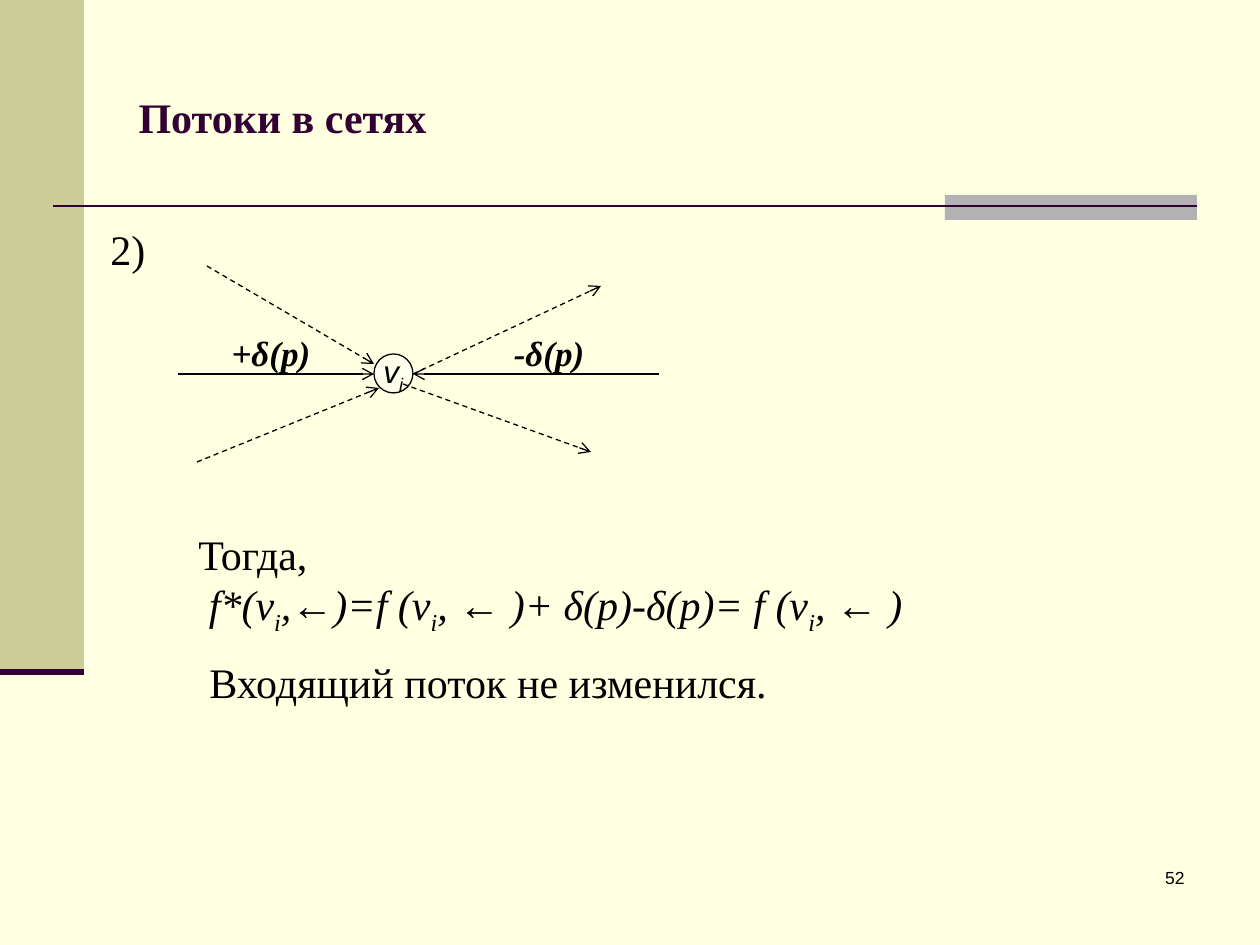
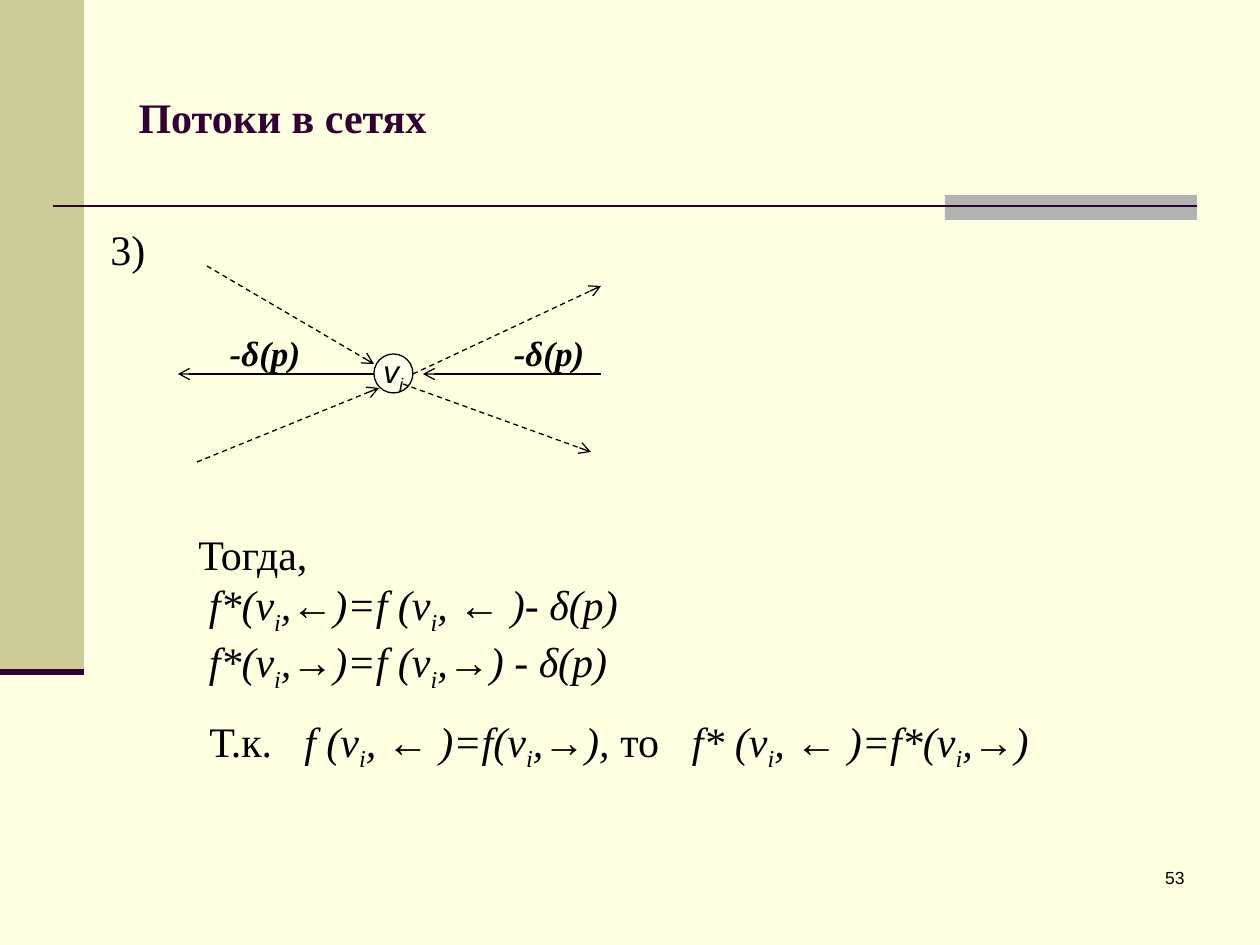
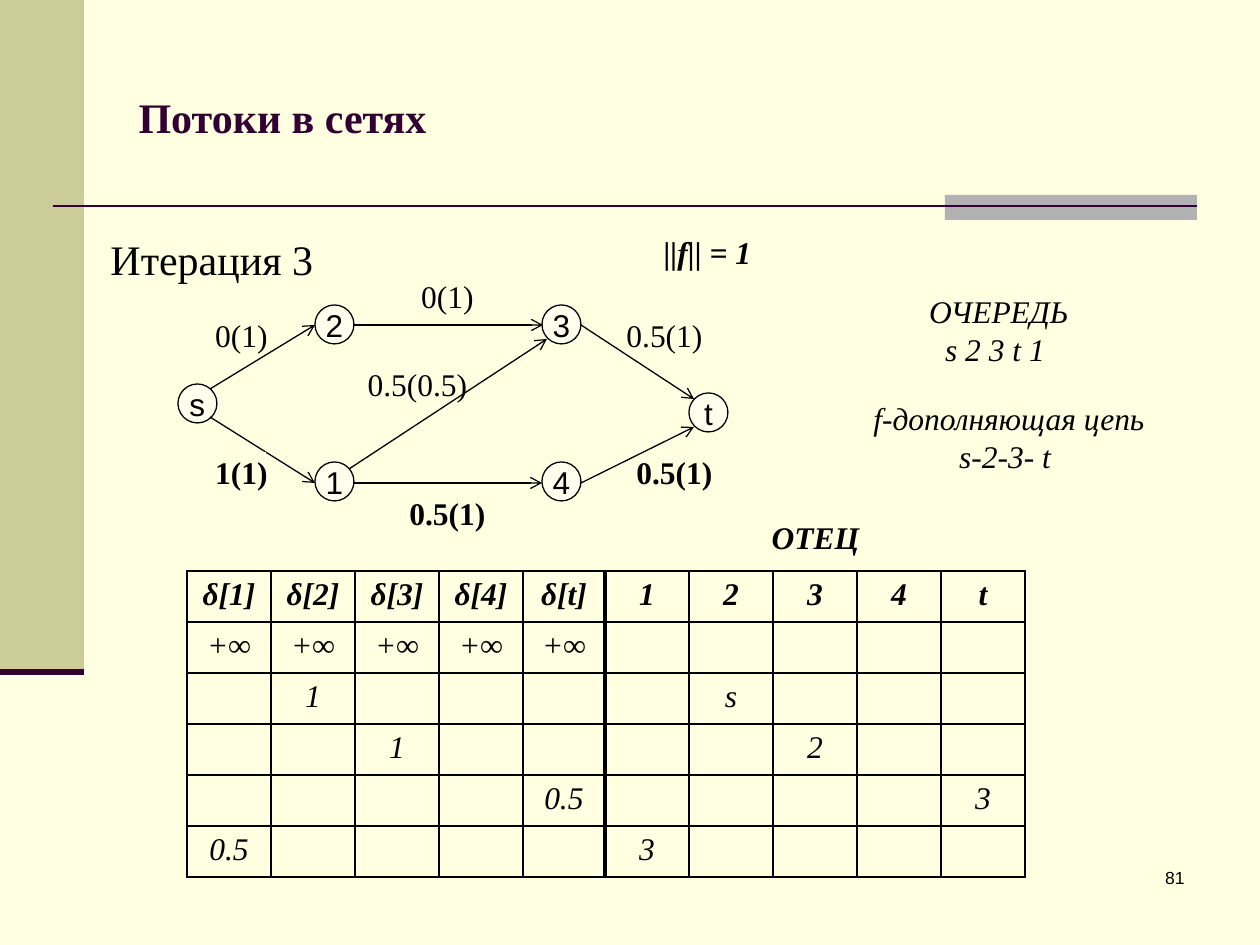
"""Build three slides about flows in networks."""
from lxml import etree
from pptx import Presentation
from pptx.dml.color import RGBColor
from pptx.enum.dml import MSO_LINE
from pptx.enum.shapes import MSO_CONNECTOR, MSO_SHAPE
from pptx.enum.text import MSO_ANCHOR, MSO_AUTO_SIZE, PP_ALIGN
from pptx.oxml.ns import qn
from pptx.util import Emu, Pt

PX_PER_INCH = 126
RECTANGLE = MSO_SHAPE.RECTANGLE
CIRCLE = MSO_SHAPE.FLOWCHART_CONNECTOR
STRAIGHT = MSO_CONNECTOR.STRAIGHT
DASH = MSO_LINE.DASH
MIDDLE = MSO_ANCHOR.MIDDLE
LEFT, CENTER, RIGHT = PP_ALIGN.LEFT, PP_ALIGN.CENTER, PP_ALIGN.RIGHT
NO_FIT, GROW = MSO_AUTO_SIZE.NONE, MSO_AUTO_SIZE.SHAPE_TO_FIT_TEXT

BACKGROUND, NODE_FILL, BLACK = "FFFFE1", "FFFFEE", "000000"
BAND, ACCENT, PLUM = "CCCC99", "B2B2B2", "330033"
SERIF, SANS = "Times New Roman", "Arial"
NODE_SIZE = 39
ROW_HEIGHT, COLUMN_WIDTH, LAST_DELTA_WIDTH = 51, 84, 82
DELTA_COLUMNS = 5

DASHED_EDGES = [(403, 384, 591, 452), (413, 374, 601, 286),
                (207, 266, 374, 364), (197, 462, 379, 388)]

NODES = {"s": (178, 384), "2": (315, 305), "t": (689, 393),
         "4": (542, 462), "3": (542, 305), "1": (315, 462)}
EDGES = [(210, 389, 315, 325), (354, 325, 543, 325), (210, 417, 315, 483),
         (354, 483, 542, 483), (581, 325, 694, 399), (581, 483, 694, 427),
         (349, 469, 547, 339)]
EDGE_LABELS = [("0(1)", 217, 315, False), ("1(1)", 217, 452, True),
               ("0.5(0.5)", 393, 364, False), ("0(1)", 423, 276, False),
               ("0.5(1)", 640, 315, False), ("0.5(1)", 650, 452, True),
               ("0.5(1)", 423, 493, True)]

HEADINGS = ["δ[1]", "δ[2]", "δ[3]", "δ[4]", "δ[t]", "1", "2", "3", "4", "t"]
STEPS = [dict.fromkeys(HEADINGS[:DELTA_COLUMNS], "+∞"),
         {"δ[2]": "1", "2": "s"},
         {"δ[3]": "1", "3": "2"},
         {"δ[t]": "0.5", "t": "3"},
         {"δ[1]": "0.5", "1": "3"}]


def px(length):
    """Turn pixels into EMU."""
    return Emu(round(length * 914400 / PX_PER_INCH))


def box_px(box):
    """Turn every length of a box into EMU."""
    return [px(length) for length in box]


def color(value):
    """Turn a hex string into a colour."""
    return RGBColor.from_string(value)


def add_run(paragraph, text, size, font, text_color, bold, italic):
    """Add one formatted run and return it."""
    run = paragraph.add_run()
    run.text = text
    run.font.size = Pt(size)
    run.font.name = font
    run.font.color.rgb = color(text_color)
    run.font.bold = bold
    run.font.italic = italic
    return run


def write_text(frame, lines, size=24, font=SERIF, text_color=BLACK,
               bold=False, italic=False, align=LEFT):
    """Write lines of text or (text, italic) pairs; "_" lowers the next letter."""
    for index, line in enumerate(lines):
        paragraph = frame.add_paragraph() if index else frame.paragraphs[0]
        paragraph.alignment = align
        segments = [(line, italic)] if isinstance(line, str) else line
        for text, slanted in segments:
            style = (size, font, text_color, bold, slanted)
            first, *rest = text.split("_")
            add_run(paragraph, first, *style)
            for part in rest:
                subscript = add_run(paragraph, part[0], *style)
                subscript.font._element.set("baseline", "-25000")
                if part[1:]:
                    add_run(paragraph, part[1:], *style)


def add_text(slide, box, *lines, wrap=False, **style):
    """Add a text box that fits its lines."""
    frame = slide.shapes.add_textbox(*box_px(box)).text_frame
    frame.word_wrap = wrap
    frame.auto_size = GROW
    write_text(frame, lines, **style)
    return frame


def add_block(slide, kind, box, fill, outline=None):
    """Add a filled preset shape."""
    shape = slide.shapes.add_shape(kind, *box_px(box))
    shape.shadow.inherit = False
    shape.fill.solid()
    shape.fill.fore_color.rgb = color(fill)
    if outline:
        shape.line.color.rgb = color(outline)
        shape.line.width = Pt(0.75)
    else:
        shape.line.fill.background()
    return shape


def add_caption(shape, text, **style):
    """Centre one line of text on a shape."""
    frame = shape.text_frame
    frame.word_wrap = False
    frame.vertical_anchor = MIDDLE
    write_text(frame, [text], size=18, align=CENTER, **style)


def add_node(slide, text, left, top, italic=False):
    """Add a labelled graph node."""
    node = add_block(slide, CIRCLE, (left, top, NODE_SIZE, NODE_SIZE), NODE_FILL, BLACK)
    add_caption(node, text, font=SANS, italic=italic)


def add_line(slide, ends, line_color=BLACK, width=0.75):
    """Add a straight line without a shadow."""
    connector = slide.shapes.add_connector(STRAIGHT, *box_px(ends))
    connector.line.color.rgb = color(line_color)
    connector.line.width = Pt(width)
    etree.SubElement(connector.element.spPr, qn("a:effectLst"))
    return connector


def add_arrow(slide, ends, dash=None):
    """Add a thin arrow, solid or dashed."""
    connector = add_line(slide, ends)
    if dash:
        connector.line.dash_style = dash
    outline = connector.element.spPr.find(qn("a:ln"))
    etree.SubElement(outline, qn("a:tailEnd"), type="arrow")


def add_tab_stop(paragraph, position):
    """Set a left tab stop in a paragraph."""
    tabs = etree.SubElement(paragraph._p.get_or_add_pPr(), qn("a:tabLst"))
    etree.SubElement(tabs, qn("a:tab"), pos=str(px(position)), algn="l")


def add_border(cell, side, width):
    """Draw one border of a table cell."""
    border = etree.SubElement(cell._tc.get_or_add_tcPr(), qn("a:ln" + side), w=str(Pt(width)))
    fill = etree.SubElement(border, qn("a:solidFill"))
    etree.SubElement(fill, qn("a:srgbClr"), val=BLACK)


def add_step_table(slide, left, top):
    """Add the table of labels and parents, split by a thick rule."""
    rows = [HEADINGS] + [[step.get(name, "") for name in HEADINGS] for step in STEPS]
    widths = [COLUMN_WIDTH] * len(HEADINGS)
    widths[DELTA_COLUMNS - 1] = LAST_DELTA_WIDTH
    box = (left, top, sum(widths), ROW_HEIGHT * len(rows))
    table = slide.shapes.add_table(len(rows), len(widths), *box_px(box)).table
    table.first_row = table.horz_banding = False
    for column, width in zip(table.columns, widths):
        column.width = px(width)
    for row_index, values in enumerate(rows):
        table.rows[row_index].height = px(ROW_HEIGHT)
        for column_index, value in enumerate(values):
            cell = table.cell(row_index, column_index)
            thick = {DELTA_COLUMNS - 1: "R", DELTA_COLUMNS: "L"}.get(column_index)
            for side in "LRTB":
                add_border(cell, side, 3 if side == thick else 1)
            cell.fill.solid()
            cell.fill.fore_color.rgb = color(BACKGROUND)
            if value:
                write_text(cell.text_frame, [value], size=18, italic=True,
                           bold=row_index == 0, align=CENTER)


def add_slide(presentation, number):
    """Add a slide with the shared title, bands and number."""
    slide = presentation.slides.add_slide(presentation.slide_layouts[5])
    title = slide.shapes.title
    title.left, title.top, title.width, title.height = box_px((126, 38, 1071, 157))
    title.text_frame.vertical_anchor = MIDDLE
    title.text_frame.auto_size = NO_FIT
    write_text(title.text_frame, ["Потоки в сетях"], text_color=PLUM, bold=True)
    add_block(slide, RECTANGLE, (0, 0, 84, 672), BAND)
    add_block(slide, RECTANGLE, (945, 195, 252, 25), ACCENT)
    add_line(slide, (53, 206, 1197, 206), PLUM, 1.5)
    add_line(slide, (0, 672, 84, 672), PLUM, 3.5)
    add_text(slide, (935, 861, 262, 63), str(number), wrap=True,
             size=10, font=SANS, align=RIGHT)
    return slide


def add_flow_case(presentation, number, case, left_label, arrows):
    """Add a slide with one case of flow through a node."""
    slide = add_slide(presentation, number)
    add_node(slide, "v_i", 374, 354, italic=True)
    for ends in DASHED_EDGES:
        add_arrow(slide, ends, DASH)
    for ends in arrows:
        add_arrow(slide, ends)
    add_text(slide, (98, 217, 69, 63), case, wrap=True)
    label_width = 108 if left_label.startswith("+") else 96
    for text, left, width in [(left_label, 217, label_width), ("-δ(p)", 501, 96)]:
        add_text(slide, (left, 325, width, 55), text,
                 size=20, bold=True, italic=True, align=CENTER)
    return slide


def add_incoming_case(presentation):
    """Add the case of two incoming arcs."""
    slide = add_flow_case(presentation, 52, "2)", "+δ(p)",
                          [(178, 374, 374, 374), (659, 374, 413, 374)])
    add_text(slide, (186, 522, 738, 115), "Тогда,",
             [(" f*(v_i,←)=f (v_i, ← )+ δ(p)-δ(p)= f (v_i, ← )", True)])
    add_text(slide, (197, 650, 935, 63), "Входящий поток не изменился.", wrap=True)


def add_reverse_case(presentation):
    """Add the case of two reverse arcs."""
    slide = add_flow_case(presentation, 53, "3)", "-δ(p)",
                          [(374, 374, 178, 374), (601, 374, 423, 374)])
    add_text(slide, (186, 522, 459, 165), "Тогда,",
             [(" f*(v_i,←)=f (v_i, ← )- δ(p)", True)],
             [(" f*(v_i,→)=f (v_i,→) - δ(p)", True)])
    premise = add_text(slide, (197, 709, 493, 63),
                       [("Т.к.\t", False), ("f (v_i, ← )=f(v_i,→), ", True), ("то", False)],
                       wrap=True)
    add_tab_stop(premise.paragraphs[0], 95)
    add_text(slide, (669, 709, 377, 63), " f* (v_i, ← )=f*(v_i,→)", italic=True)


def add_iteration(presentation):
    """Add the third iteration with its network and table."""
    slide = add_slide(presentation, 81)
    add_text(slide, (98, 227, 246, 63), "Итерация 3", wrap=True)
    for name, (left, top) in NODES.items():
        add_node(slide, name, left, top)
    for ends in EDGES:
        add_arrow(slide, ends)
    for text, left, top, bold in EDGE_LABELS:
        label = add_block(slide, RECTANGLE, (left, top, 49, NODE_SIZE), BACKGROUND)
        add_caption(label, text, bold=bold)
    add_step_table(slide, 187, 571)
    note = {"size": 18, "italic": True, "align": CENTER}
    add_text(slide, (759, 512, 113, 50), "ОТЕЦ", bold=True, **note)
    add_text(slide, (916, 286, 166, 89), "ОЧЕРЕДЬ", "s 2 3 t 1 ", **note)
    add_text(slide, (816, 393, 386, 89), "f-дополняющая цепь", "s-2-3- t ", wrap=True, **note)
    add_text(slide, (650, 227, 115, 50), "||f|| = 1", bold=True, **note)


def main():
    """Build and save the presentation."""
    presentation = Presentation()
    presentation.slide_width, presentation.slide_height = px(1260), px(945)
    background = presentation.slide_master.background.fill
    background.solid()
    background.fore_color.rgb = color(BACKGROUND)
    add_incoming_case(presentation)
    add_reverse_case(presentation)
    add_iteration(presentation)
    presentation.save("out.pptx")


if __name__ == "__main__":
    main()
